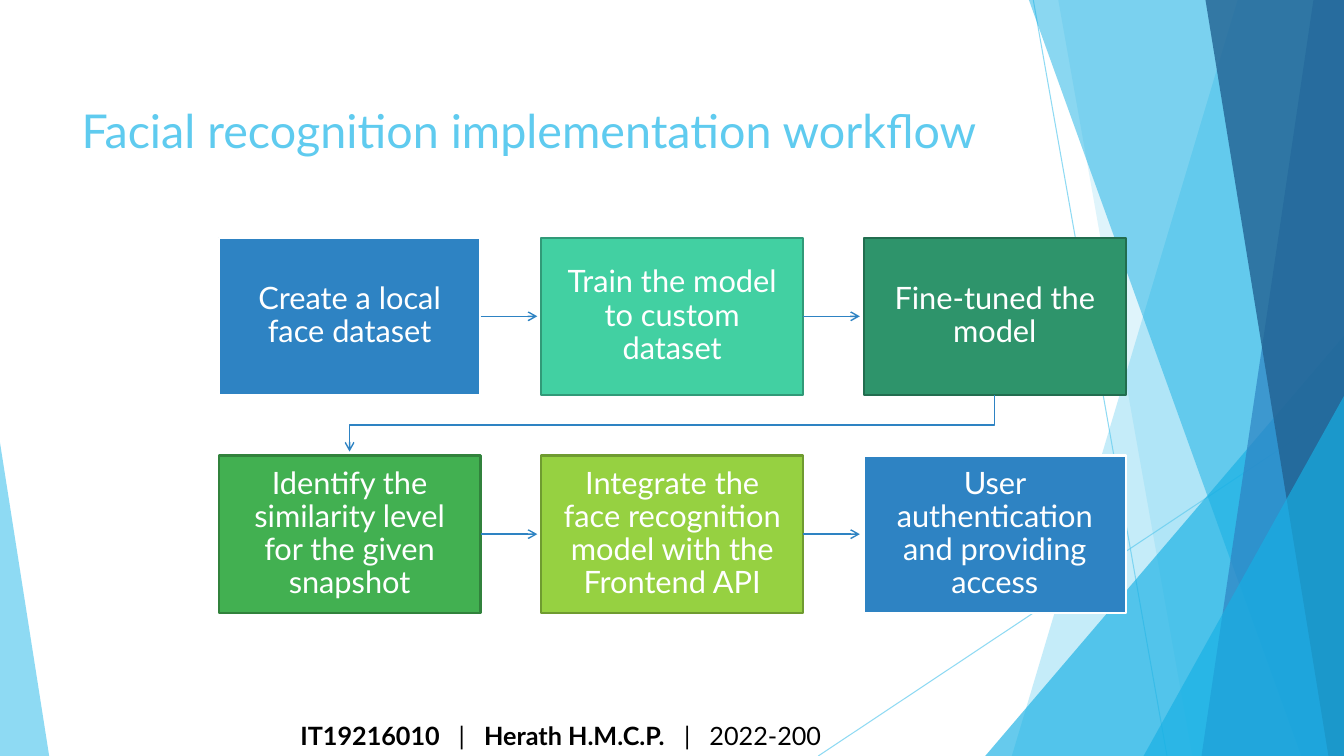
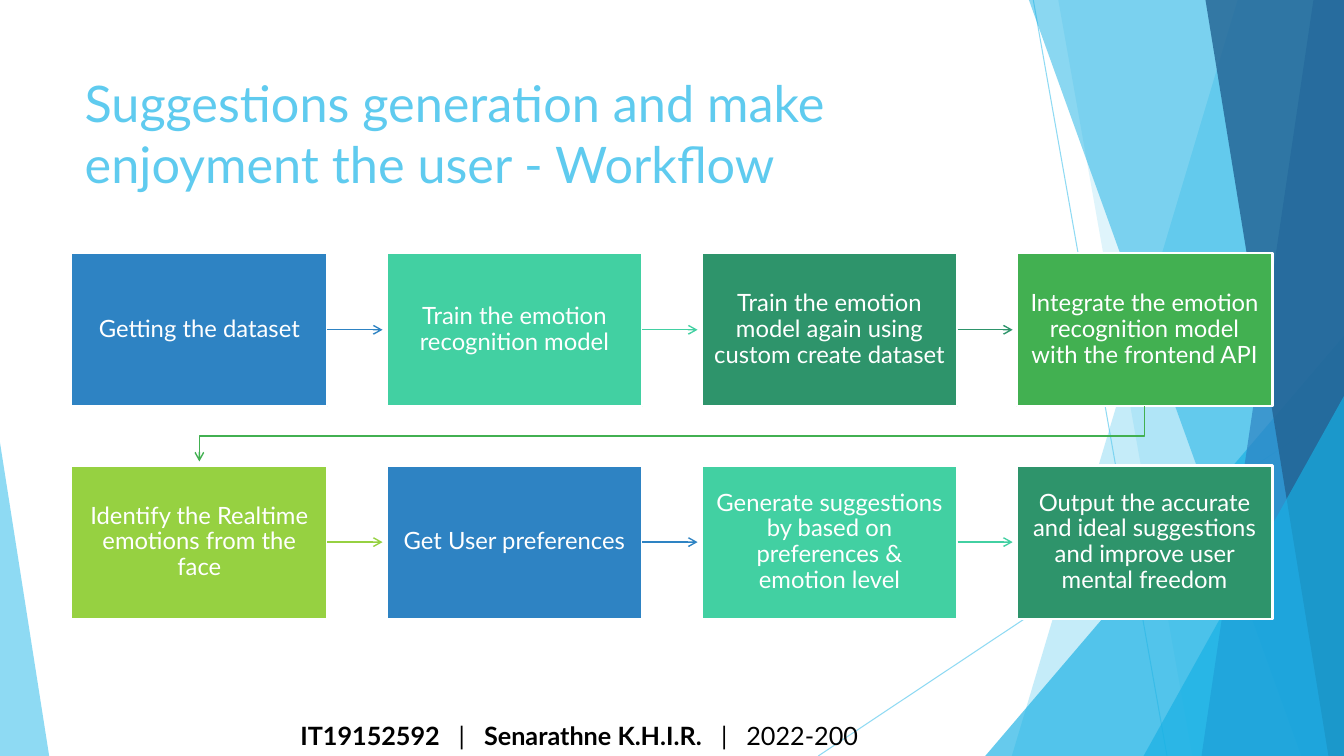
from dataclasses import dataclass

from lxml.etree import SubElement
from pptx import Presentation
from pptx.dml.color import RGBColor as Rgb
from pptx.enum.shapes import MSO_CONNECTOR as Connector, MSO_SHAPE as Preset
from pptx.enum.text import MSO_ANCHOR as Anchor, MSO_AUTO_SIZE as AutoSize, PP_ALIGN as Align
from pptx.oxml.ns import qn
from pptx.util import Cm, Pt

WIDTH, HEIGHT = 33.87, 19.05
BAR_STOP, BAR_MARGIN = 4.07, 0.56


@dataclass(frozen=True)
class Theme:
    font: str = "Lato"
    white: Rgb = Rgb(0xFF, 0xFF, 0xFF)
    black: Rgb = Rgb(0, 0, 0)
    sky: Rgb = Rgb(0x5F, 0xCB, 0xEF)
    cyan: Rgb = Rgb(0x17, 0xB0, 0xE4)
    blue: Rgb = Rgb(0x2E, 0x83, 0xC3)
    navy: Rgb = Rgb(0x22, 0x62, 0x92)
    mint: Rgb = Rgb(0x42, 0xD0, 0xA2)
    teal: Rgb = Rgb(0x2E, 0x94, 0x6B)
    green: Rgb = Rgb(0x42, 0xB0, 0x51)
    lime: Rgb = Rgb(0x96, 0xD1, 0x41)
    dark_mint: Rgb = Rgb(0x31, 0x9A, 0x78)
    dark_teal: Rgb = Rgb(0x22, 0x6D, 0x4F)
    dark_green: Rgb = Rgb(0x31, 0x82, 0x3C)
    dark_lime: Rgb = Rgb(0x6F, 0x9B, 0x30)
    title_size: float = 36
    small_title_size: float = 33.3
    large_step_size: float = 22
    step_size: float = 17
    footer_size: float = 18


THEME = Theme()
STEP_FILLS = (THEME.blue, THEME.mint, THEME.teal, THEME.green, THEME.lime)
DARK_EDGES = (THEME.white, THEME.dark_mint, THEME.dark_teal, THEME.dark_green, THEME.dark_lime)


@dataclass(frozen=True)
class Workflow:
    """Steps in rows of equal boxes; lengths in centimetres."""
    steps: tuple
    columns: int
    left: float
    top: float
    width: float
    height: float
    gap: float
    inset: float
    size: float
    edges: tuple
    arrows: tuple


FACE_WORKFLOW = Workflow(
    steps=(
        "Create a local face dataset",
        "Train the model to custom dataset",
        "Fine-tuned the model",
        "Identify the similarity level for the given snapshot",
        "Integrate the face recognition model with the Frontend API",
        "User authentication and providing access",
    ),
    columns=3, left=5.51, top=5.99, width=6.6, height=3.96, gap=1.53, inset=0.33,
    size=THEME.large_step_size, edges=DARK_EDGES, arrows=(THEME.blue,),
)
SUGGESTION_WORKFLOW = Workflow(
    steps=(
        "Getting the dataset",
        "Train the emotion recognition model",
        "Train the emotion model again using custom create dataset",
        "Integrate the emotion recognition model with the frontend API",
        "Identify the Realtime emotions from the face",
        "Get User preferences",
        "Generate suggestions by based on preferences & emotion level",
        "Output the accurate and ideal suggestions and improve user mental freedom",
    ),
    columns=4, left=1.8, top=6.38, width=6.45, height=3.86, gap=1.49, inset=0.28,
    size=THEME.step_size, edges=(THEME.white,), arrows=STEP_FILLS,
)


def pick(colors, index):
    return colors[index % len(colors)]


def write(paragraph, text, *, size, color, bold=False):
    run = paragraph.add_run()
    run.text = text
    run.font.name = THEME.font
    run.font.size = Pt(size)
    run.font.bold = bold
    run.font.color.rgb = color


def set_opacity(shape, percent):
    for color in shape.element.xpath("p:spPr//a:srgbClr"):
        SubElement(color, qn("a:alpha"), val=str(percent * 1000))


def paint(shape, color, opacity):
    shape.shadow.inherit = False
    shape.fill.solid()
    shape.fill.fore_color.rgb = color
    shape.line.fill.background()
    set_opacity(shape, opacity)
    return shape


def add_path(slide, points, close):
    start, *others = [(Cm(x), Cm(y)) for x, y in points]
    builder = slide.shapes.build_freeform(*start, scale=1.0)
    builder.add_line_segments(others, close=close)
    return builder.convert_to_shape()


def add_line(slide, start, end, color, weight):
    connector = slide.shapes.add_connector(
        Connector.STRAIGHT, *(Cm(value) for value in (*start, *end)))
    connector.line.color.rgb = color
    connector.line.width = Pt(weight)
    SubElement(connector.element.xpath("p:spPr")[0], qn("a:effectLst"))
    return connector


def add_arrowhead(shape):
    SubElement(shape.element.xpath("p:spPr/a:ln")[0], qn("a:tailEnd"), type="arrow")


def add_ray(slide, start, end):
    ray = add_line(slide, start, end, THEME.sky, 0.75)
    set_opacity(ray, 70)
    return ray


def add_band(slide, top_x, bottom_x, color, opacity):
    """Full-height band from a slanted left edge to the right slide edge."""
    points = [(top_x, 0), (WIDTH, 0), (WIDTH, HEIGHT), (bottom_x, HEIGHT)]
    return paint(add_path(slide, points, close=True), color, opacity)


def add_corner(slide, left, width, height, apex, color, opacity):
    """Triangle standing on the bottom slide edge."""
    corner = slide.shapes.add_shape(
        Preset.ISOSCELES_TRIANGLE, Cm(left), Cm(HEIGHT - height), Cm(width), Cm(height))
    corner.adjustments[0] = apex
    return paint(corner, color, opacity)


def decorate_layout(layout, slide):
    """Draw the facets on the slide, then move them to its layout."""
    for placeholder in list(layout.placeholders):
        if placeholder.placeholder_format.idx != 0:
            layout.shapes.element.remove(placeholder.element)
    facets = [
        add_ray(slide, (26.04, 0), (29.41, HEIGHT)),
        add_ray(slide, (WIDTH, 10.24), (20.62, HEIGHT)),
        add_band(slide, 31.19, 25.5, THEME.sky, 36),
        add_band(slide, 26.67, 30.05, THEME.sky, 20),
        add_corner(slide, WIDTH - 9.04, 9.04, 10.59, 1, THEME.cyan, 66),
        add_band(slide, 25.93, 32.79, THEME.cyan, 50),
        add_band(slide, 33.1, 30.28, THEME.blue, 70),
        add_band(slide, 30.38, 33.48, THEME.navy, 80),
        add_corner(slide, WIDTH - 5.05, 5.05, 9.07, 1, THEME.cyan, 66),
        add_corner(slide, 0, 1.24, 7.9, 0, THEME.sky, 70),
    ]
    for facet in facets:
        layout.shapes.element.append(facet.element)


def set_title(slide, text, left, top, height, size):
    title = slide.shapes.title
    title.left, title.top, title.width, title.height = Cm(left), Cm(top), Cm(23.88), Cm(height)
    frame = title.text_frame
    frame.auto_size = AutoSize.NONE
    frame.vertical_anchor = Anchor.TOP
    paragraph = frame.paragraphs[0]
    paragraph.alignment = Align.LEFT
    write(paragraph, text, size=size, color=THEME.sky)


def add_footer(slide, student_id, student, second_bar):
    """Student line; second_bar is the tab stop of the bar after the name."""
    frame = slide.shapes.add_textbox(Cm(7.32), Cm(18.03), Cm(18.92), Cm(1.02)).text_frame
    frame.word_wrap = True
    frame.vertical_anchor = Anchor.MIDDLE
    paragraph = frame.paragraphs[0]
    tab_list = SubElement(paragraph._p.get_or_add_pPr(), qn("a:tabLst"))
    for bar in (BAR_STOP, second_bar):
        SubElement(tab_list, qn("a:tab"), pos=str(Cm(bar)), algn="ctr")
        SubElement(tab_list, qn("a:tab"), pos=str(Cm(bar + BAR_MARGIN)), algn="l")
    parts = ((student_id, True), ("\t|\t", False), (student, True), ("\t|\t2022-200", False))
    for text, bold in parts:
        write(paragraph, text, size=THEME.footer_size, color=THEME.black, bold=bold)


def add_step(slide, workflow, index):
    row, column = divmod(index, workflow.columns)
    box = slide.shapes.add_shape(
        Preset.RECTANGLE,
        Cm(workflow.left + column * (workflow.width + workflow.gap)),
        Cm(workflow.top + row * (workflow.height + workflow.gap)),
        Cm(workflow.width), Cm(workflow.height))
    box.shadow.inherit = False
    box.fill.solid()
    box.fill.fore_color.rgb = pick(STEP_FILLS, index)
    box.line.color.rgb = pick(workflow.edges, index)
    box.line.width = Pt(1.5)
    frame = box.text_frame
    frame.word_wrap = True
    frame.vertical_anchor = Anchor.MIDDLE
    frame.margin_left = frame.margin_right = Cm(workflow.inset)
    frame.margin_top = frame.margin_bottom = Cm(0.33)
    paragraph = frame.paragraphs[0]
    paragraph.alignment = Align.CENTER
    paragraph.line_spacing = 0.9
    write(paragraph, workflow.steps[index], size=workflow.size, color=THEME.white)
    return box


def add_row_arrow(slide, box, following, color):
    """Arrow to the next box in the row, stopping just before it."""
    middle = (box.top + box.height / 2) / Cm(1)
    start = ((box.left + box.width) / Cm(1), middle)
    end = (following.left / Cm(1) - 0.1, middle)
    arrow = add_line(slide, start, end, color, 1)
    arrow.begin_connect(box, 3)
    add_arrowhead(arrow)


def add_return_arrow(slide, box, following, color):
    """Bent arrow from the end of one row to the start of the next."""
    start_x, end_x = ((b.left + b.width / 2) / Cm(1) for b in (box, following))
    start_y, end_y = (box.top + box.height) / Cm(1), following.top / Cm(1)
    bend_y = (start_y + end_y) / 2
    points = [(start_x, start_y), (start_x, bend_y), (end_x, bend_y), (end_x, end_y - 0.1)]
    arrow = add_path(slide, points, close=False)
    arrow.shadow.inherit = False
    arrow.fill.background()
    arrow.line.color.rgb = color
    arrow.line.width = Pt(1)
    add_arrowhead(arrow)


def add_workflow(slide, workflow):
    boxes = [add_step(slide, workflow, index) for index in range(len(workflow.steps))]
    for index, (box, following) in enumerate(zip(boxes, boxes[1:])):
        row_ends = (index + 1) % workflow.columns == 0
        add_arrow = add_return_arrow if row_ends else add_row_arrow
        add_arrow(slide, box, following, pick(workflow.arrows, index))


def main():
    presentation = Presentation()
    presentation.slide_width, presentation.slide_height = Cm(WIDTH), Cm(HEIGHT)
    layout = presentation.slide_layouts[5]

    face_slide = presentation.slides.add_slide(layout)
    decorate_layout(layout, face_slide)
    set_title(face_slide, "Facial recognition implementation workflow",
              left=1.8, top=2.44, height=1.93, size=THEME.small_title_size)
    add_workflow(face_slide, FACE_WORKFLOW)
    add_footer(face_slide, "IT19216010", "Herath H.M.C.P.", second_bar=9.75)

    suggestion_slide = presentation.slides.add_slide(layout)
    set_title(suggestion_slide, "Suggestions generation and make enjoyment the user - Workflow",
              left=1.88, top=1.7, height=3.66, size=THEME.title_size)
    add_workflow(suggestion_slide, SUGGESTION_WORKFLOW)
    add_footer(suggestion_slide, "IT19152592", "Senarathne K.H.I.R.", second_bar=10.68)

    presentation.save("out.pptx")


if __name__ == "__main__":
    main()
